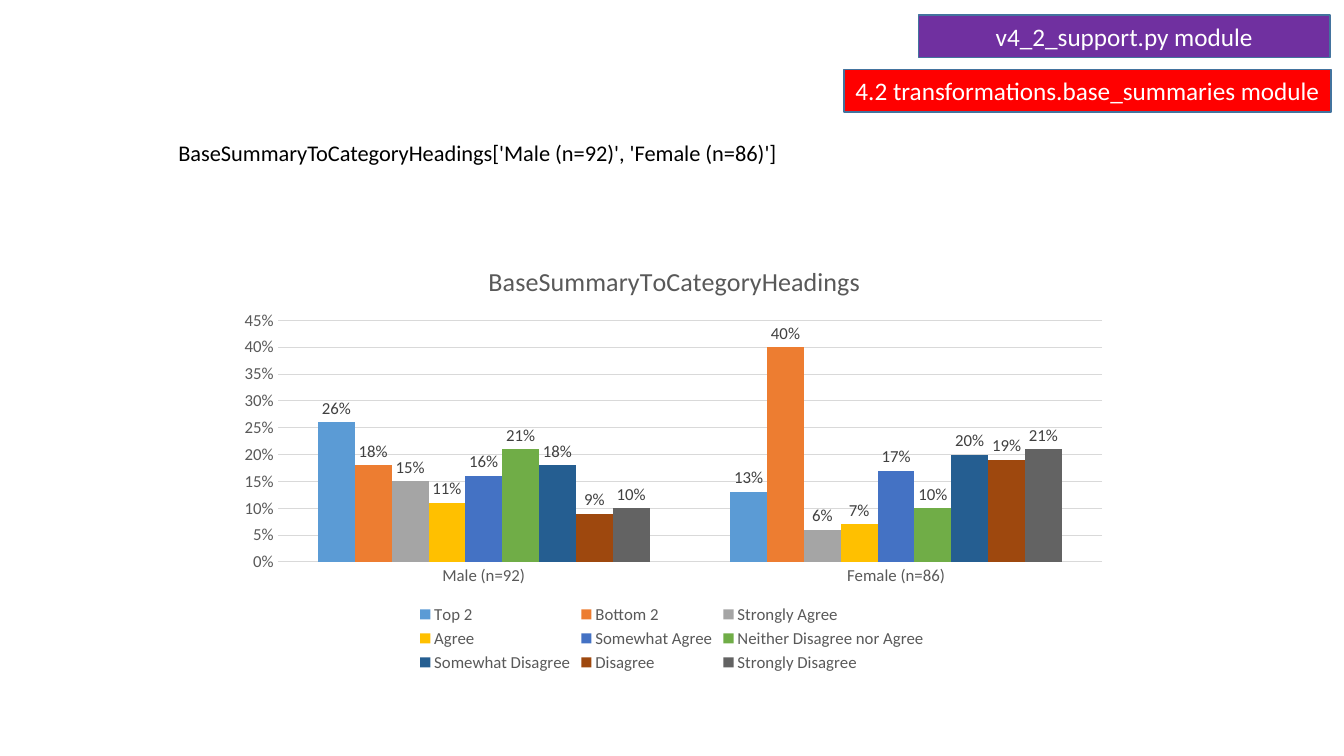
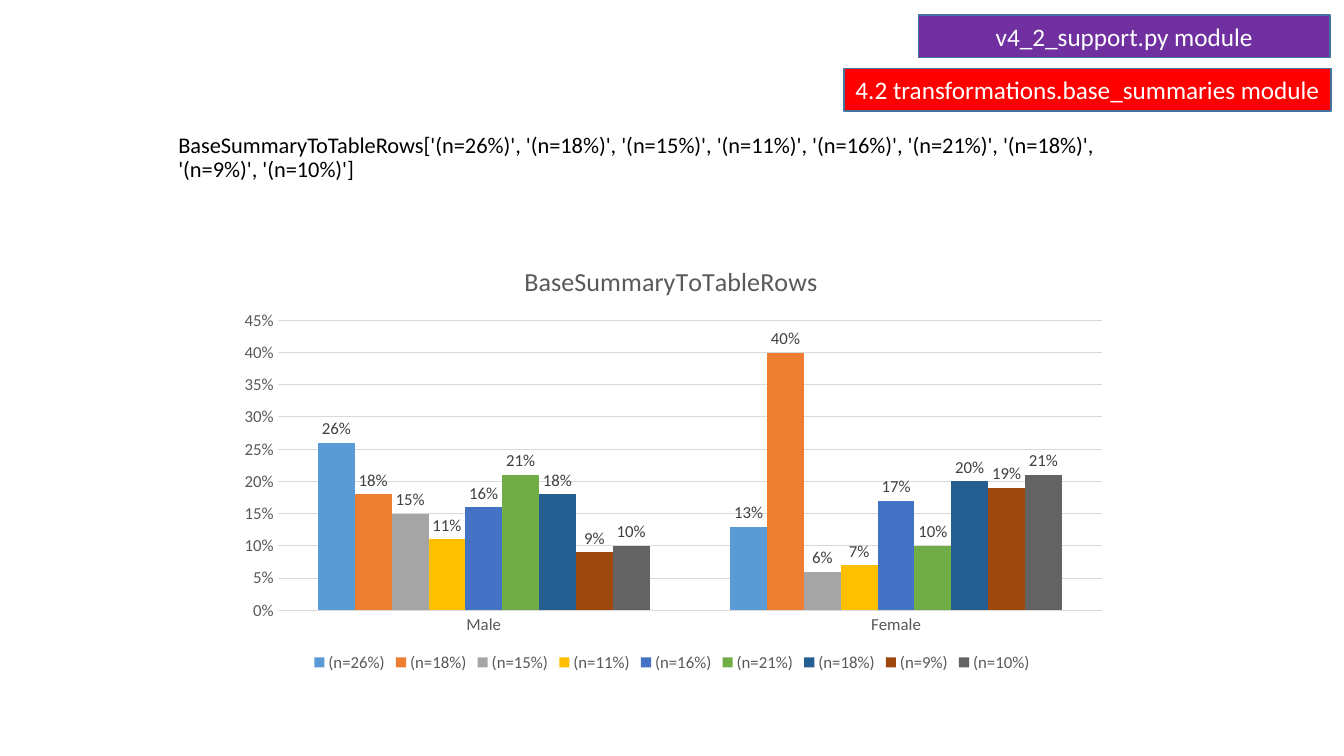
"""Build two slides comparing base summary transformations of one survey chart."""
import lxml.etree
import pptx
import pptx.chart.data
import pptx.dml.color
import pptx.enum.chart
import pptx.enum.shapes
import pptx.enum.text
import pptx.oxml.ns
import pptx.util
from dataclasses import dataclass

Inches, Pt = pptx.util.Inches, pptx.util.Pt
qn = pptx.oxml.ns.qn


@dataclass(frozen=True)
class Theme:
    font: str = "Calibri"
    purple: str = "7030A0"
    red: str = "FF0000"
    outline: str = "43739E"
    white: str = "FFFFFF"
    black: str = "000000"
    grid: str = "D9D9D9"
    muted: str = "595959"
    label: str = "404040"
    series: tuple = ("5B9BD5", "ED7D31", "A5A5A5", "FFC000", "4472C4",
                     "70AD47", "255E91", "9E480E", "636363")
    band_size: float = 18
    headline_size: float = 16
    chart_title_size: float = 18.6
    chart_size: float = 12


THEME = Theme()
SUPPORT_BAND = ("v4_2_support.py module", THEME.purple, (9.11, 0.15, 4.08, 0.42))
MODULE = "4.2 transformations.base_summaries module"
CHART_BOX = (2.22, 2.35, 8.89, 4.36)
MALE = (0.26, 0.18, 0.15, 0.11, 0.16, 0.21, 0.18, 0.09, 0.10)
FEMALE = (0.13, 0.40, 0.06, 0.07, 0.17, 0.10, 0.20, 0.19, 0.21)
SLIDES = [
    {
        "transform": "BaseSummaryToCategoryHeadings",
        "result": "['Male (n=92)', 'Female (n=86)']",
        "categories": ("Male (n=92)", "Female (n=86)"),
        "answers": ("Top 2", "Bottom 2", "Strongly Agree", "Agree", "Somewhat Agree",
                    "Neither Disagree nor Agree", "Somewhat Disagree", "Disagree",
                    "Strongly Disagree"),
        "headline_top": 0.94, "module_top": 0.69, "title_left": 0.29, "plot_height": 0.55,
    },
    {
        "transform": "BaseSummaryToTableRows",
        "result": "['(n=26%)', '(n=18%)', '(n=15%)', '(n=11%)', '(n=16%)', "
                  "'(n=21%)', '(n=18%)', '(n=9%)', '(n=10%)']",
        "categories": ("Male", "Female"),
        "answers": tuple(f"(n={share:.0%})" for share in MALE),
        "headline_top": 1.10, "module_top": 0.68, "title_left": 0.33, "plot_height": 0.66,
    },
]


def rgb(colour):
    return pptx.dml.color.RGBColor.from_string(colour)


def set_font(font, size, colour):
    font.name, font.size, font.bold = THEME.font, Pt(size), False
    font.color.rgb = rgb(colour)


def add_band(slide, text, colour, box):
    band = slide.shapes.add_shape(pptx.enum.shapes.MSO_SHAPE.RECTANGLE, *map(Inches, box))
    band.shadow.inherit = False
    band.fill.solid()
    band.fill.fore_color.rgb = rgb(colour)
    band.line.color.rgb = rgb(THEME.outline)
    band.line.width = Pt(1)
    frame = band.text_frame
    frame.text = text
    frame.vertical_anchor = pptx.enum.text.MSO_ANCHOR.MIDDLE
    frame.paragraphs[0].alignment = pptx.enum.text.PP_ALIGN.CENTER
    set_font(frame.paragraphs[0].runs[0].font, THEME.band_size, THEME.white)


def add_headline(slide, text, top):
    frame = slide.shapes.add_textbox(*map(Inches, (1.67, top, 10, 0.76))).text_frame
    frame.word_wrap = True
    frame.vertical_anchor = pptx.enum.text.MSO_ANCHOR.BOTTOM
    frame.text = text
    frame.paragraphs[0].line_spacing = 0.9
    set_font(frame.paragraphs[0].runs[0].font, THEME.headline_size, THEME.black)


def place(part, position, **settings):
    layout = part.find(qn("c:layout"))
    if layout is None:
        layout = lxml.etree.Element(qn("c:layout"))
        part.insert(position, layout)
    manual = lxml.etree.SubElement(layout, qn("c:manualLayout"))
    for tag, value in settings.items():
        lxml.etree.SubElement(manual, qn(f"c:{tag}")).set("val", str(value))


def style_axes(chart):
    answers, shares = chart.category_axis, chart.value_axis
    for axis in (answers, shares):
        axis.major_tick_mark = axis.minor_tick_mark = pptx.enum.chart.XL_TICK_MARK.NONE
        set_font(axis.tick_labels.font, THEME.chart_size, THEME.muted)
    shares.minimum_scale, shares.maximum_scale, shares.major_unit = 0, 0.45, 0.05
    shares.tick_labels.number_format = "0%"
    shares.tick_labels.number_format_is_linked = False
    shares.format.line.fill.background()
    for line in (answers.format.line, shares.major_gridlines.format.line):
        line.color.rgb = rgb(THEME.grid)
        line.width = Pt(0.75)


def style_series(plot):
    plot.gap_width, plot.overlap, plot.vary_by_categories = 219, 0, False
    for series, colour in zip(plot.series, THEME.series):
        series.format.fill.solid()
        series.format.fill.fore_color.rgb = rgb(colour)
        labels = series.data_labels
        labels.show_value = True
        labels.number_format, labels.number_format_is_linked = "0%", False
        labels.position = pptx.enum.chart.XL_LABEL_POSITION.OUTSIDE_END
        set_font(labels.font, THEME.chart_size, THEME.label)


def add_survey_chart(slide, content):
    survey = pptx.chart.data.CategoryChartData(number_format="0%")
    survey.categories = content["categories"]
    for answer, *shares in zip(content["answers"], MALE, FEMALE):
        survey.add_series(answer, shares)
    chart = slide.shapes.add_chart(pptx.enum.chart.XL_CHART_TYPE.COLUMN_CLUSTERED,
                                   *map(Inches, CHART_BOX), survey).chart
    set_font(chart.font, THEME.chart_size, THEME.muted)
    chart.has_title = True
    heading = chart.chart_title.text_frame
    heading.text = content["transform"]
    set_font(heading.paragraphs[0].runs[0].font, THEME.chart_title_size, THEME.muted)
    chart.has_legend = True
    chart.legend.position = pptx.enum.chart.XL_LEGEND_POSITION.BOTTOM
    chart.legend.include_in_layout = False
    set_font(chart.legend.font, THEME.chart_size, THEME.muted)
    style_axes(chart)
    style_series(chart.plots[0])
    edges = {"xMode": "edge", "yMode": "edge"}
    root = chart.element
    place(next(root.iter(qn("c:title"))), 1, **edges, x=content["title_left"], y=0.05)
    place(next(root.iter(qn("c:plotArea"))), 0, layoutTarget="inner", **edges,
          x=0.06, y=0.19, w=0.92, h=content["plot_height"])


def main():
    deck = pptx.Presentation()
    deck.slide_width, deck.slide_height = Inches(13.33), Inches(7.5)
    for content in SLIDES:
        slide = deck.slides.add_slide(deck.slide_layouts[6])
        add_band(slide, *SUPPORT_BAND)
        add_headline(slide, content["transform"] + content["result"], content["headline_top"])
        add_survey_chart(slide, content)
        add_band(slide, MODULE, THEME.red, (8.37, content["module_top"], 4.83, 0.42))
    deck.save("out.pptx")


if __name__ == "__main__":
    main()
